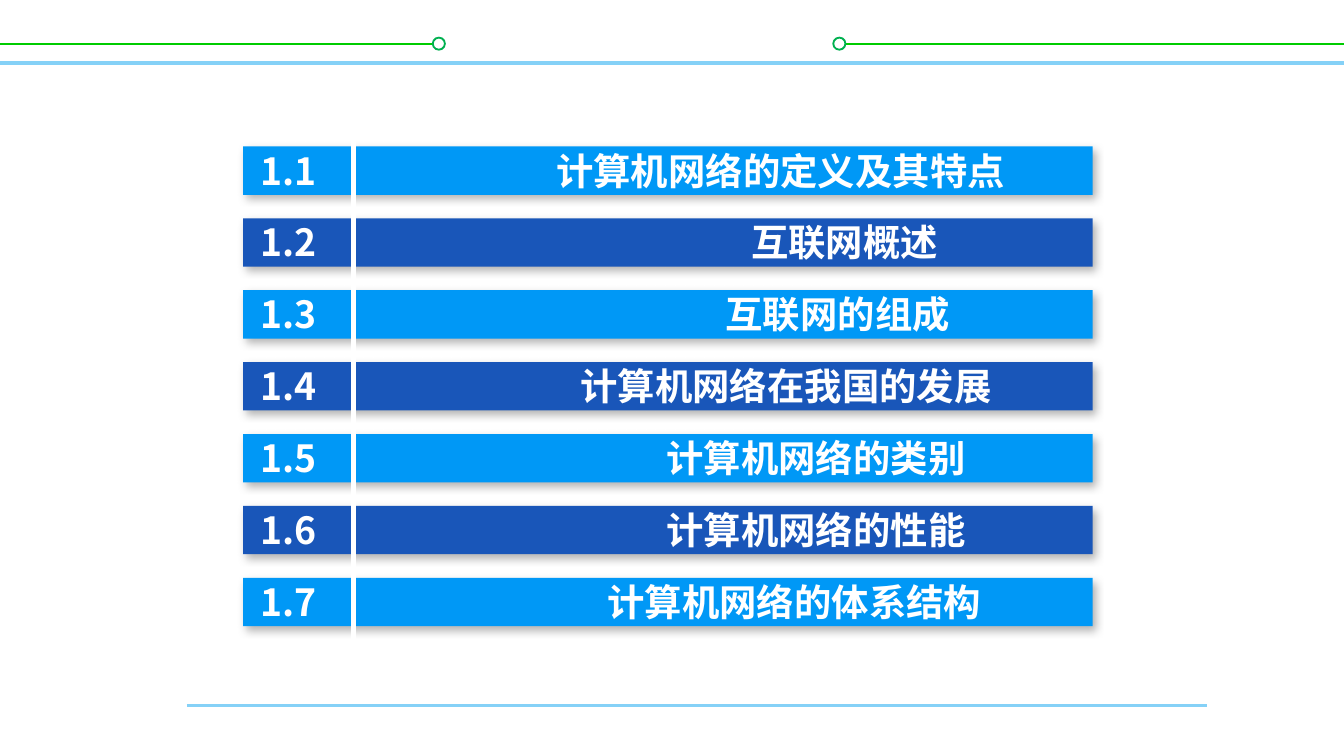
from lxml import etree
from pptx import Presentation
from pptx.dml.color import RGBColor
from pptx.enum.shapes import MSO_CONNECTOR, MSO_SHAPE
from pptx.enum.text import MSO_AUTO_SIZE
from pptx.oxml import parse_xml
from pptx.oxml.ns import nsdecls, qn
from pptx.util import Inches, Pt

STRAIGHT = MSO_CONNECTOR.STRAIGHT
RECTANGLE, OVAL = MSO_SHAPE.RECTANGLE, MSO_SHAPE.OVAL
FIT_SHAPE = MSO_AUTO_SIZE.SHAPE_TO_FIT_TEXT
color = RGBColor.from_string

FONT = "Noto Sans CJK SC"
WHITE, SKY, GREEN, RING = "FFFFFF", "85D1F7", "00CC00", "00B050"
BAR_COLORS = ["0098F6", "1956B9"]
WIDTH = 10
HEIGHT = WIDTH * 9 / 16
BAR_LEFT, BAR_WIDTH, BAR_HEIGHT = 1.81, 6.32, 0.36
FIRST_ROW, ROW_PITCH = 1.09, 3.21 / 6

SHADOW = (
    f'<a:effectLst {nsdecls("a")}>'
    f'<a:outerShdw blurRad="{Pt(4.5)}" dist="{Pt(2.6)}" dir="{53 * 60000}" algn="tl" rotWithShape="0">'
    '<a:srgbClr val="000000"><a:alpha val="30000"/></a:srgbClr>'
    '</a:outerShdw></a:effectLst>'
)

# Section title and the tab position where it starts
sections = [
    ("计算机网络的定义及其特点", 2.20),
    ("互联网概述", 3.65),
    ("互联网的组成", 3.46),
    ("计算机网络在我国的发展", 2.38),
    ("计算机网络的类别", 3.02),
    ("计算机网络的性能", 3.02),
    ("计算机网络的体系结构", 2.58),
]

deck = Presentation()
deck.slide_width, deck.slide_height = Inches(WIDTH), Inches(HEIGHT)
page = deck.slides.add_slide(deck.slide_layouts[6])


def add_line(x1, y1, x2, y2, hex_color, weight):
    line = page.shapes.add_connector(STRAIGHT, Inches(x1), Inches(y1), Inches(x2), Inches(y2))
    line.line.color.rgb = color(hex_color)
    line.line.width = Pt(weight)
    etree.SubElement(line._element.spPr, qn("a:effectLst"))


def add_filled(kind, left, top, width, height, fill):
    shape = page.shapes.add_shape(kind, Inches(left), Inches(top), Inches(width), Inches(height))
    shape.shadow.inherit = False
    shape.fill.solid()
    shape.fill.fore_color.rgb = color(fill)
    shape.line.fill.background()
    return shape


# Header and footer rules
add_line(0, 0.47, WIDTH, 0.47, SKY, 2)
for start, end, ring_left in [(0, 3.24, 3.22), (6.2, WIDTH, 6.2)]:
    add_line(start, 0.33, end, 0.33, GREEN, 1)
    ring = add_filled(OVAL, ring_left, 0.28, 0.09, 0.09, WHITE)
    ring.line.color.rgb = color(RING)
    ring.line.width = Pt(1)
add_line(1.39, 5.25, 8.98, 5.25, SKY, 1.5)

# Section bars in alternating blues
for row in range(len(sections)):
    top = FIRST_ROW + row * ROW_PITCH
    bar = add_filled(RECTANGLE, BAR_LEFT, top, BAR_WIDTH, BAR_HEIGHT, BAR_COLORS[row % 2])
    properties = bar._element.spPr
    properties.replace(properties.find(qn("a:effectLst")), parse_xml(SHADOW))

# Divider between numbers and titles
add_line(2.63, 0.9, 2.63, 5.18, WHITE, 2.25)

# Section numbers and titles
for row, (title, tab) in enumerate(sections):
    top = FIRST_ROW + row * ROW_PITCH - 0.04
    box = page.shapes.add_textbox(Inches(1.84), Inches(top), Inches(6.31), Inches(0.44))
    box.text_frame.word_wrap = True
    box.text_frame.auto_size = FIT_SHAPE
    para = box.text_frame.paragraphs[0]
    para.text = f"1.{row + 1}\t{title}"
    tabs = etree.SubElement(para._p.get_or_add_pPr(), qn("a:tabLst"))
    etree.SubElement(tabs, qn("a:tab"), pos=str(Inches(tab)), algn="l")
    para.font.name, para.font.size, para.font.bold = FONT, Pt(20), True
    para.font.color.rgb = color(WHITE)
    etree.SubElement(para.font._element, qn("a:ea"), typeface=FONT)

deck.save("out.pptx")
